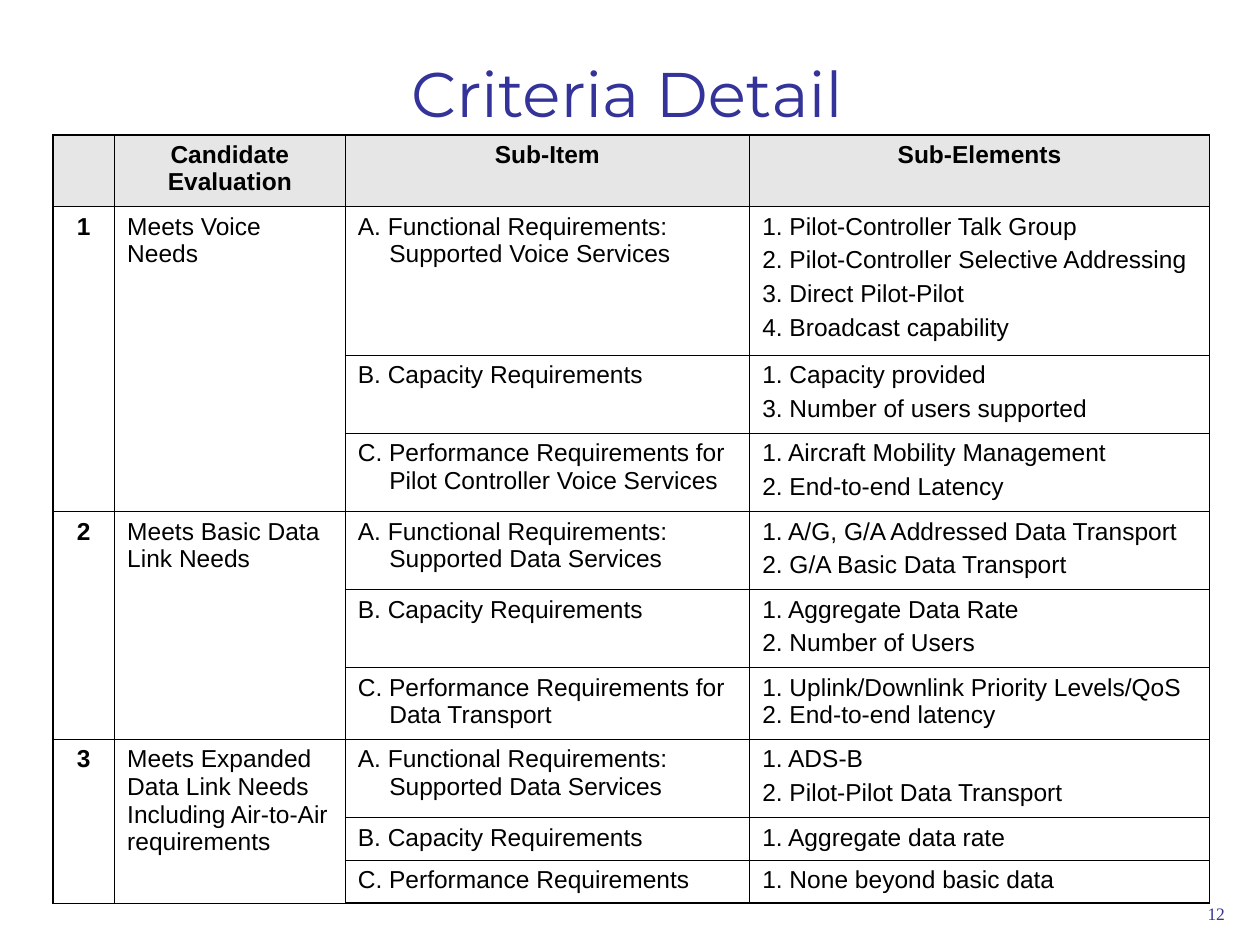
from pptx import Presentation
from pptx.dml.color import RGBColor
from pptx.enum.text import MSO_ANCHOR as Anchor, MSO_AUTO_SIZE as AutoSize, PP_ALIGN as Align
from pptx.oxml.ns import qn
from pptx.util import Inches, Pt
from lxml.etree import SubElement

INK, NAVY, GREY = "000000", "333399", "E6E6E6"
COLUMNS = [0.49, 1.83, 3.21, 3.65]
ROWS = [0.57, 1.18, 0.62, 0.62, 0.62, 0.62, 0.57, 0.62, 0.34, 0.34]
HEADINGS = ["", "Candidate Evaluation", "Sub-Item", "Sub-Elements"]
HANG = 0.25
TITLE = {"size": Pt(36), "name": "Montserrat", "bold": False}
BODY = {"size": Pt(14), "name": "Arial", "bold": False}
STRONG = {**BODY, "bold": True}
NUMBER = {"size": Pt(10), "name": "Times New Roman", "bold": False}

CRITERIA = [
    ("Meets Voice Needs", [
        ("A. Functional Requirements: Supported Voice Services",
         ["1. Pilot-Controller Talk Group", "2. Pilot-Controller Selective Addressing",
          "3. Direct Pilot-Pilot", "4. Broadcast capability"]),
        ("B. Capacity Requirements",
         ["1. Capacity provided", "3. Number of users supported"]),
        ("C. Performance Requirements for Pilot Controller Voice Services",
         ["1. Aircraft Mobility Management", "2. End-to-end Latency"]),
    ]),
    ("Meets Basic Data Link Needs", [
        ("A. Functional Requirements: Supported Data Services",
         ["1. A/G, G/A Addressed Data Transport", "2. G/A Basic Data Transport"]),
        ("B. Capacity Requirements",
         ["1. Aggregate Data Rate", "2. Number of Users"]),
        ("C. Performance Requirements for Data Transport",
         ["1. Uplink/Downlink Priority Levels/QoS 2. End-to-end latency"]),
    ]),
    ("Meets Expanded Data Link Needs Including Air-to-Air requirements", [
        ("A. Functional Requirements: Supported Data Services",
         ["1. ADS-B", "2. Pilot-Pilot Data Transport"]),
        ("B. Capacity Requirements", ["1. Aggregate data rate"]),
        ("C. Performance Requirements", ["1. None beyond basic data"]),
    ]),
]


def color(value):
    return RGBColor.from_string(value)


def write(frame, lines, font, ink=INK, align=Align.LEFT, hang=0):
    frame.word_wrap = True
    for index, line in enumerate(lines):
        para = frame.add_paragraph() if index else frame.paragraphs[0]
        para.alignment = align
        if index:
            para.space_before = Pt(3.5)
        if hang:
            props = para._p.get_or_add_pPr()
            props.set("marL", str(Inches(hang)))
            props.set("indent", str(Inches(-hang)))
        span = para.add_run()
        span.text = line
        for name, value in font.items():
            setattr(span.font, name, value)
        span.font.color.rgb = color(ink)


def add_title(page, text):
    box = page.shapes.title
    place = {"left": 0.53, "top": 0.29, "width": 8.89, "height": 0.88}
    for name, value in place.items():
        setattr(box, name, Inches(value))
    box.text_frame.auto_size = AutoSize.NONE
    box.text_frame.vertical_anchor = Anchor.MIDDLE
    write(box.text_frame, [text], TITLE, NAVY, Align.CENTER)


def add_page_number(page, text):
    box = page.shapes.add_textbox(Inches(8.28), Inches(7.12), Inches(1.54), Inches(0.25))
    write(box.text_frame, [text], NUMBER, NAVY, Align.RIGHT)


def frame_cell(cell, row, column):
    outer = {"lnL": column == 0, "lnR": column == len(COLUMNS) - 1,
             "lnT": row == 0, "lnB": row == len(ROWS) - 1}
    props = cell._tc.get_or_add_tcPr()
    for side, heavy in outer.items():
        line = SubElement(props, qn(f"a:{side}"), w=str(Pt(0.96 if heavy else 0.45)))
        paint = SubElement(line, qn("a:solidFill"))
        SubElement(paint, qn("a:srgbClr"), val=INK)
    if row == 0:
        cell.fill.solid()
        cell.fill.fore_color.rgb = color(GREY)
    else:
        cell.fill.background()


def add_grid(page):
    table = page.shapes.add_table(
        len(ROWS), len(COLUMNS), Inches(0.42), Inches(1.07),
        Inches(sum(COLUMNS)), Inches(sum(ROWS))).table
    table.first_row = table.horz_banding = False
    for column, width in zip(table.columns, COLUMNS):
        column.width = Inches(width)
    for row, height in zip(table.rows, ROWS):
        row.height = Inches(height)
    for row in range(len(ROWS)):
        for column in range(len(COLUMNS)):
            frame_cell(table.cell(row, column), row, column)
    return table


def fill_grid(table):
    for column, heading in enumerate(HEADINGS):
        if heading:
            write(table.cell(0, column).text_frame, [heading], STRONG, align=Align.CENTER)
    row = 1
    for number, (need, items) in enumerate(CRITERIA, 1):
        for column in (0, 1):
            table.cell(row, column).merge(table.cell(row + len(items) - 1, column))
        write(table.cell(row, 0).text_frame, [str(number)], STRONG, align=Align.CENTER)
        write(table.cell(row, 1).text_frame, [need], BODY)
        for item, elements in items:
            write(table.cell(row, 2).text_frame, [item], BODY, hang=HANG)
            write(table.cell(row, 3).text_frame, elements, BODY)
            row += 1


def main():
    deck = Presentation()
    deck.slide_width, deck.slide_height = Inches(10), Inches(7.5)
    page = deck.slides.add_slide(deck.slide_layouts[5])
    add_title(page, "Criteria Detail")
    fill_grid(add_grid(page))
    add_page_number(page, "12")
    deck.save("out.pptx")


if __name__ == "__main__":
    main()
